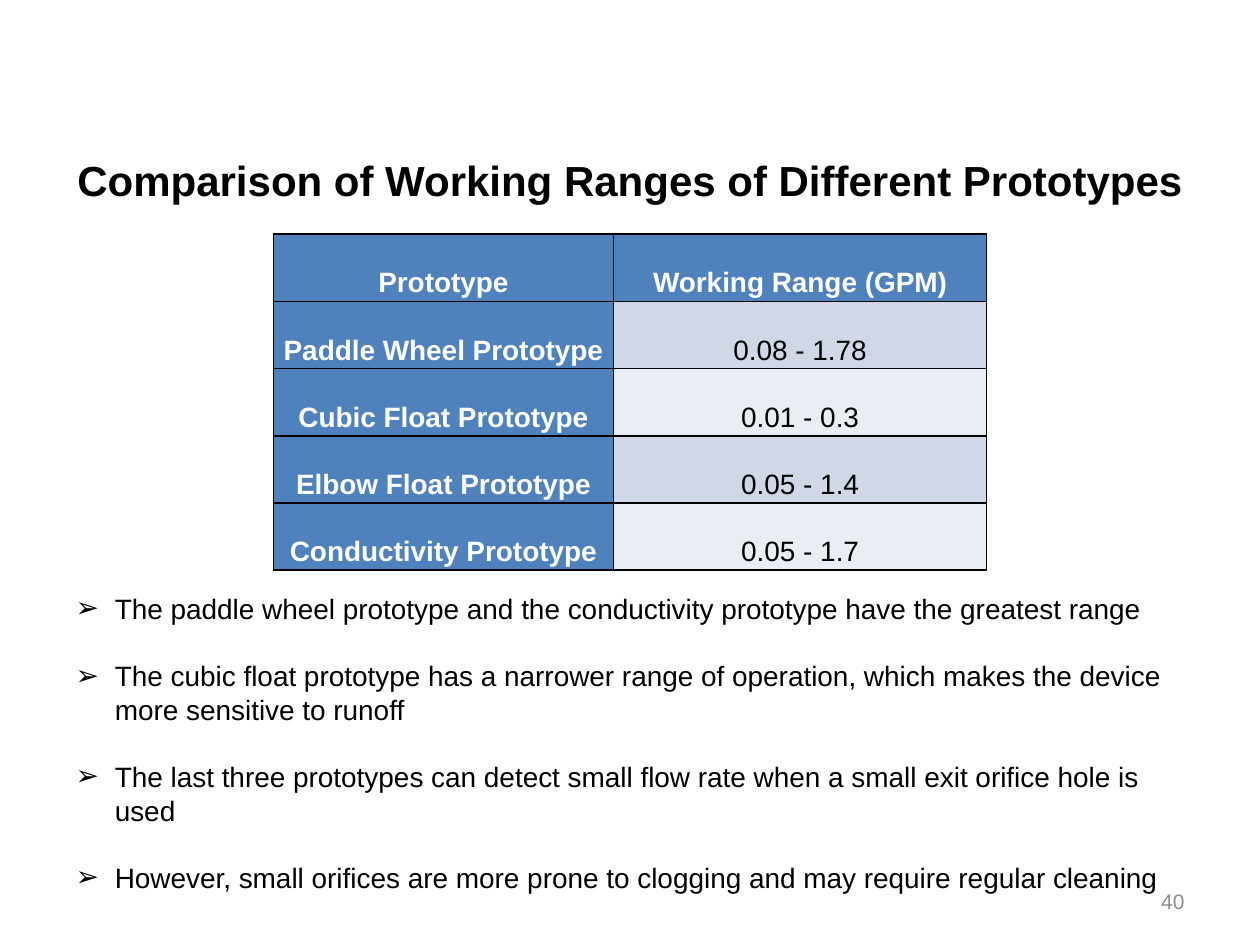
from dataclasses import dataclass

from lxml.etree import SubElement
from pptx import Presentation
from pptx.dml.color import RGBColor
from pptx.enum.text import MSO_ANCHOR as Anchor, MSO_AUTO_SIZE as AutoSize, PP_ALIGN as Align
from pptx.oxml.ns import qn
from pptx.util import Cm, Pt


@dataclass(frozen=True)
class Theme:
    """Fonts, type sizes and colours of the slide."""
    font: str = "Arial"
    title: float = 24
    text: float = 16
    leading: float = 19.2
    number: float = 12
    ink: str = "000000"
    light: str = "FFFFFF"
    muted: str = "8C8C8C"
    header: str = "4F81BD"
    bands: tuple = ("D0D8E8", "E9EDF4")


THEME = Theme()

RANGES = [
    ("Prototype", "Working Range (GPM)"),
    ("Paddle Wheel Prototype", "0.08 - 1.78"),
    ("Cubic Float Prototype", "0.01 - 0.3"),
    ("Elbow Float Prototype", "0.05 - 1.4"),
    ("Conductivity Prototype", "0.05 - 1.7"),
]

FINDINGS = [
    "The paddle wheel prototype and the conductivity prototype have the greatest range",
    "The cubic float prototype has a narrower range of operation, "
    "which makes the device more sensitive to runoff",
    "The last three prototypes can detect small flow rate when a small exit orifice hole is used",
    "However, small orifices are more prone to clogging and may require regular cleaning",
]


def place(sp, box):
    """Move a shape to a box of left, top, width and height in centimetres."""
    sp.left, sp.top, sp.width, sp.height = map(Cm, box)


def add_run(p, text, size, color, bold=False):
    """Append a formatted run to a paragraph."""
    r = p.add_run()
    r.text = text
    r.font.name = THEME.font
    r.font.size = Pt(size)
    r.font.bold = bold
    r.font.color.rgb = RGBColor.from_string(color)


def add_title(s, box, text):
    """Fill the title placeholder."""
    sp = s.shapes.title
    place(sp, box)
    tf = sp.text_frame
    tf.auto_size = AutoSize.NONE
    tf.vertical_anchor = Anchor.MIDDLE
    p = tf.paragraphs[0]
    p.alignment = Align.CENTER
    add_run(p, text, THEME.title, THEME.ink, bold=True)


def set_borders(cell):
    """Draw a thin line on all four sides of a cell."""
    tc_pr = cell._tc.get_or_add_tcPr()
    for i, side in enumerate(("a:lnL", "a:lnR", "a:lnT", "a:lnB")):
        ln = tc_pr.makeelement(qn(side), {"w": str(Pt(1))})
        fill = SubElement(ln, qn("a:solidFill"))
        SubElement(fill, qn("a:srgbClr"), val=THEME.ink)
        tc_pr.insert(i, ln)


def format_cell(cell, text, fill, color, bold):
    """Fill one cell with centred text."""
    cell.fill.solid()
    cell.fill.fore_color.rgb = RGBColor.from_string(fill)
    set_borders(cell)
    cell.vertical_anchor = Anchor.MIDDLE
    cell.margin_left = cell.margin_right = Cm(0.18)
    cell.margin_top = cell.margin_bottom = 0
    p = cell.text_frame.paragraphs[0]
    p.alignment = Align.CENTER
    p.line_spacing = 2.0
    add_run(p, text, THEME.text, color, bold)


def add_range_table(s, box, rows, first_width):
    """Add the table with a header row and a header column."""
    left, top, width, height = map(Cm, box)
    table = s.shapes.add_table(len(rows), 2, left, top, width, height).table
    table.horz_banding = False
    table.columns[0].width = Cm(first_width)
    table.columns[1].width = width - Cm(first_width)
    for i, row in enumerate(rows):
        for j, text in enumerate(row):
            head = i == 0 or j == 0
            fill = THEME.header if head else THEME.bands[(i - 1) % 2]
            color = THEME.light if head else THEME.ink
            format_cell(table.cell(i, j), text, fill, color, head)


def add_findings(s, box, items):
    """Fill the body placeholder with an arrow list."""
    sp = s.placeholders[1]
    place(sp, box)
    tf = sp.text_frame
    tf.auto_size = AutoSize.NONE
    tf.vertical_anchor = Anchor.TOP
    for i, text in enumerate(items):
        p = tf.paragraphs[0] if i == 0 else tf.add_paragraph()
        p_pr = p._p.get_or_add_pPr()
        p_pr.set("marL", str(Cm(0.79)))
        p_pr.set("indent", str(-Cm(0.79)))
        SubElement(p_pr, qn("a:buFont"), typeface=THEME.font)
        SubElement(p_pr, qn("a:buChar"), char="➢")
        p.line_spacing = Pt(THEME.leading)
        p.space_before = Pt(THEME.leading if i else 0)
        add_run(p, text, THEME.text, THEME.ink)


def add_number(s, box, text):
    """Add the slide number."""
    tf = s.shapes.add_textbox(*map(Cm, box)).text_frame
    tf.word_wrap = True
    tf.vertical_anchor = Anchor.MIDDLE
    p = tf.paragraphs[0]
    p.alignment = Align.RIGHT
    add_run(p, text, THEME.number, THEME.muted)


def main():
    """Build and save the slide."""
    prs = Presentation()
    prs.slide_width, prs.slide_height = Cm(25.4), Cm(19.05)
    s = prs.slides.add_slide(prs.slide_layouts[1])
    add_number(s, (18.2, 17.66, 5.93, 1.01), "40")
    add_title(s, (1.27, 2.5, 22.86, 2.23), "Comparison of Working Ranges of Different Prototypes")
    add_range_table(s, (5.51, 4.72, 14.38, 6.27), RANGES, first_width=6.86)
    add_findings(s, (1.27, 11.8, 22.86, 6.4), FINDINGS)
    prs.save("out.pptx")


if __name__ == "__main__":
    main()
